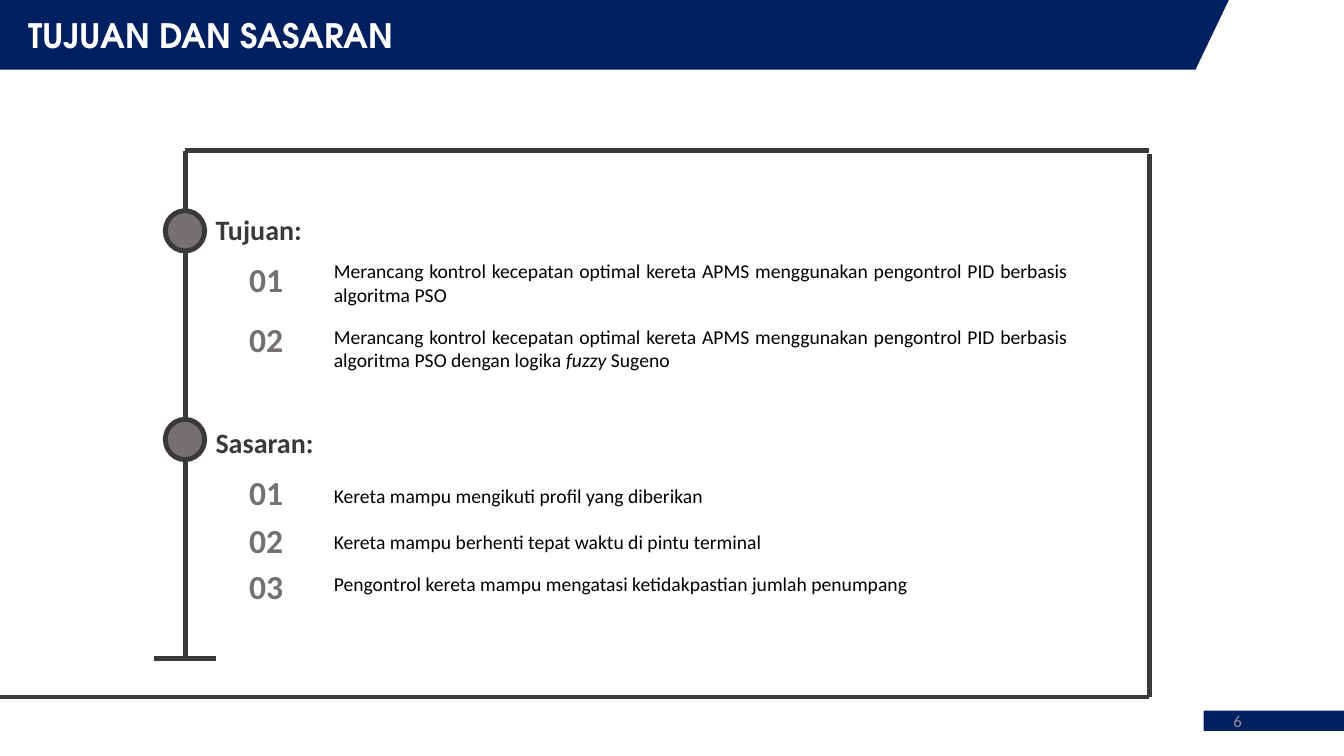
from dataclasses import dataclass

from lxml.etree import SubElement
from pptx import Presentation
from pptx.dml.color import RGBColor
from pptx.enum.shapes import MSO_CONNECTOR, MSO_SHAPE
from pptx.enum.text import MSO_ANCHOR, MSO_AUTO_SIZE, PP_ALIGN
from pptx.oxml.ns import qn
from pptx.util import Inches, Pt


@dataclass(frozen=True)
class Theme:
    """Colours, fonts and sizes of the slide."""
    navy: str = "002060"
    dark: str = "3B3838"
    grey: str = "767171"
    pale: str = "8C8C8C"
    white: str = "FFFFFF"
    black: str = "000000"
    body_font: str = "Calibri"
    title_font: str = "TeX Gyre Adventor"
    title: int = 24
    number: int = 24
    heading: int = 20
    body: int = 14
    page: int = 12
    line: float = 3.5


THEME = Theme()
WIDTH, HEIGHT = Inches(13.33), Inches(7.5)
SPINE, RIGHT, TOP, BOTTOM = 13.8, 85.5, 19.93, 92.2
HEADING_X, NUMBER_X, ITEM_X = 15.3, 13.88, 24.1

SECTIONS = [
    ("Tujuan:", 27.47, 27.87, [
        (33.6, 33.6, ["Merancang kontrol kecepatan optimal kereta APMS menggunakan "
                      "pengontrol PID berbasis algoritma PSO"]),
        (41.47, 42.27, ["Merancang kontrol kecepatan optimal kereta APMS menggunakan "
                        "pengontrol PID berbasis algoritma PSO dengan logika ",
                        "fuzzy ", "Sugeno"]),
    ]),
    ("Sasaran:", 55.6, 55.47, [
        (61.73, 63.33, ["Kereta mampu mengikuti profil yang diberikan"]),
        (68.13, 69.47, ["Kereta mampu berhenti tepat waktu di pintu terminal"]),
        (74.13, 74.93, ["Pengontrol kereta mampu mengatasi ketidakpastian jumlah penumpang"]),
    ]),
]

FRAME = [
    (RIGHT, TOP, SPINE, TOP),
    (RIGHT, BOTTOM, RIGHT, TOP + 0.5),
    (SPINE, 87, SPINE, TOP),
    (RIGHT, BOTTOM, 0, BOTTOM),
    (11.48, 87.07, 16.05, 87.07),
]


def x(share):
    """Turn a percentage of the slide width into a length."""
    return round(WIDTH * share / 100)


def y(share):
    """Turn a percentage of the slide height into a length."""
    return round(HEIGHT * share / 100)


def box(left, top, width, height):
    """Turn percentages into a position and size."""
    return x(left), y(top), x(width), y(height)


def style(p, size, color, bold=False, align=PP_ALIGN.LEFT, name=THEME.body_font):
    """Format a whole paragraph."""
    p.alignment = align
    p.font.name, p.font.size, p.font.bold = name, Pt(size), bold
    p.font.color.rgb = RGBColor.from_string(color)


def paint(sp, fill, line=None):
    """Fill a shape, outline it if asked, and drop its shadow."""
    sp.shadow.inherit = False
    sp.fill.solid()
    sp.fill.fore_color.rgb = RGBColor.from_string(fill)
    if line:
        sp.line.color.rgb = RGBColor.from_string(line)
        sp.line.width = Pt(THEME.line)
    else:
        sp.line.fill.background()


def add_text(s, area, runs, size, color, **options):
    """Add a wrapped text box whose second run, if any, is italic."""
    tf = s.shapes.add_textbox(*box(*area)).text_frame
    tf.word_wrap = True
    p = tf.paragraphs[0]
    for i, text in enumerate(runs):
        r = p.add_run()
        r.text = text
        if i == 1:
            r.font.italic = True
    style(p, size, color, **options)
    return tf


def add_line(s, x1, y1, x2, y2):
    """Add one straight stroke of the frame."""
    line = s.shapes.add_connector(MSO_CONNECTOR.STRAIGHT, x(x1), y(y1), x(x2), y(y2))
    line.line.color.rgb = RGBColor.from_string(THEME.dark)
    line.line.width = Pt(THEME.line)
    SubElement(line.element.spPr, qn("a:effectLst"))


def add_title(s, text):
    """Put the title on a slanted banner."""
    builder = s.shapes.build_freeform(0, 0)
    builder.add_line_segments([(x(91.43), 0), (x(88.95), y(9.2)), (0, y(9.2))])
    banner = builder.convert_to_shape()
    paint(banner, THEME.navy)
    title = s.shapes.title
    title.element.addprevious(banner.element)
    title.left, title.top, title.width, title.height = box(0, 0, 88, 9.2)
    tf = title.text_frame
    tf.text = text
    tf.auto_size = MSO_AUTO_SIZE.NONE
    tf.vertical_anchor = MSO_ANCHOR.MIDDLE
    tf.margin_left = x(2.1)
    style(tf.paragraphs[0], THEME.title, THEME.white, bold=True, name=THEME.title_font)


def add_footer(s, number):
    """Add the page bar and its number."""
    bar = s.shapes.add_shape(MSO_SHAPE.RECTANGLE, *box(89.55, 94, 10.45, 2.67))
    paint(bar, THEME.navy)
    tf = add_text(s, (70.65, 92.67, 22.5, 5.33), [number], THEME.page, THEME.pale,
                  align=PP_ALIGN.RIGHT)
    tf.vertical_anchor = MSO_ANCHOR.MIDDLE


def add_section(s, heading, heading_y, dot_y, items):
    """Add a dot on the spine, a heading and its numbered items."""
    dot = s.shapes.add_shape(MSO_SHAPE.OVAL, *box(12.3, dot_y, 2.93, 5.33))
    paint(dot, THEME.grey, THEME.dark)
    add_text(s, (HEADING_X, heading_y, 10, 5.87), [heading], THEME.heading, THEME.dark, bold=True)
    for i, (number_y, item_y, runs) in enumerate(items, 1):
        add_text(s, (NUMBER_X, number_y, 11.85, 6.67), [f"{i:02}"], THEME.number, THEME.grey,
                 bold=True, align=PP_ALIGN.CENTER)
        add_text(s, (ITEM_X, item_y, 56.1, 4.53), runs, THEME.body, THEME.black,
                 align=PP_ALIGN.JUSTIFY)


def main():
    """Build and save the slide."""
    prs = Presentation()
    prs.slide_width, prs.slide_height = WIDTH, HEIGHT
    s = prs.slides.add_slide(prs.slide_layouts[5])
    add_title(s, "TUJUAN DAN SASARAN")
    add_footer(s, "6")
    for ends in FRAME:
        add_line(s, *ends)
    for section in SECTIONS:
        add_section(s, *section)
    prs.save("out.pptx")


if __name__ == "__main__":
    main()
